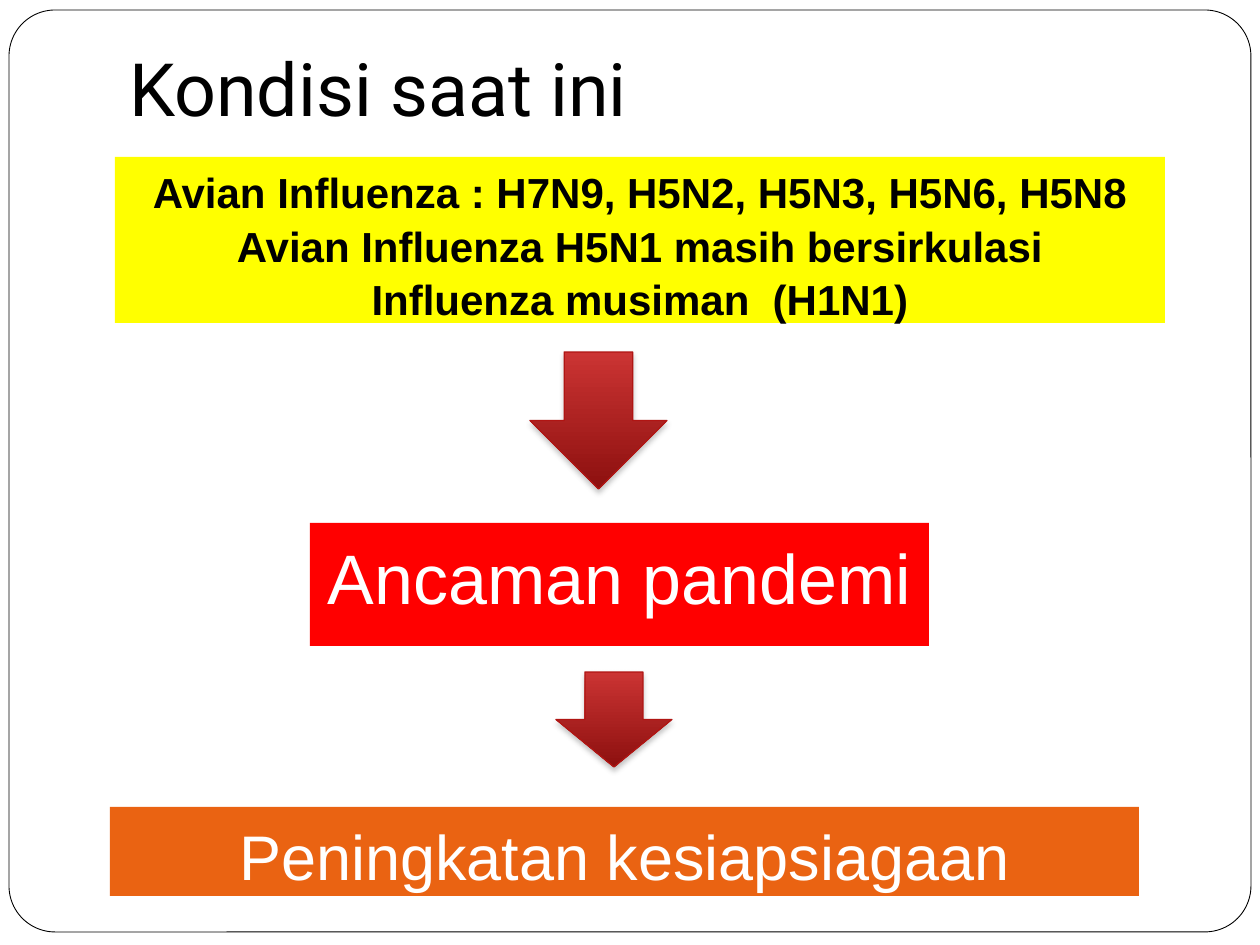
from pptx import Presentation
from pptx.dml.color import RGBColor
from pptx.enum.shapes import MSO_SHAPE
from pptx.enum.text import MSO_ANCHOR, PP_ALIGN
from pptx.oxml import parse_xml
from pptx.oxml.ns import nsdecls
from pptx.util import Pt

RECT, ROUND, ARROW = MSO_SHAPE.RECTANGLE, MSO_SHAPE.ROUNDED_RECTANGLE, MSO_SHAPE.DOWN_ARROW
TOP, LEFT, CENTER = MSO_ANCHOR.TOP, PP_ALIGN.LEFT, PP_ALIGN.CENTER
PX = 914400 // 126

THEME = {
    "black": "000000", "white": "FFFFFF", "yellow": "FFFF00",
    "red": "FF0000", "orange": "EA6312",
    "light": "CB3433", "dark": "8D100F", "edge": "B01513",
    "head": "Roboto", "body": "Arial",
    "title": 42, "list": 24, "threat": 40, "action": 36,
}
SHADOW = (
    f'<a:effectLst {nsdecls("a")}><a:outerShdw blurRad="38100" dist="25400" '
    'dir="5400000" rotWithShape="0"><a:srgbClr val="808080">'
    '<a:alpha val="45000"/></a:srgbClr></a:outerShdw></a:effectLst>'
)


def color(name):
    return RGBColor.from_string(THEME[name])


def write(shape, lines, size, font, ink, align, bold=False, top=6, space=1.0):
    frame = shape.text_frame
    frame.word_wrap = True
    frame.vertical_anchor = TOP
    frame.margin_top = top * PX
    frame.text = "\n".join(lines)
    for para in frame.paragraphs:
        para.alignment = align
        para.line_spacing = space
        para.font.name = THEME[font]
        para.font.size = Pt(THEME[size])
        para.font.bold = bold
        para.font.color.rgb = color(ink)


deck = Presentation()
deck.slide_width, deck.slide_height = 1260 * PX, 945 * PX
slide = deck.slides.add_slide(deck.slide_layouts[6])
shapes = slide.shapes

# Rounded page frame
frame = shapes.add_shape(ROUND, 9 * PX, 10 * PX, 1242 * PX, 922 * PX)
frame.adjustments[0] = 0.05
frame.shadow.inherit = False
frame.fill.background()
frame.line.color.rgb = color("black")
frame.line.width = Pt(0.5)

# Title
title = shapes.add_textbox(117 * PX, 31 * PX, 1071 * PX, 124 * PX)
write(title, ["Kondisi saat ini"], "title", "head", "black", LEFT, top=12)

# Arrows between the steps
for x, y, w, h in [(530, 352, 137, 137), (556, 672, 116, 95)]:
    arrow = shapes.add_shape(ARROW, x * PX, y * PX, w * PX, h * PX)
    arrow.fill.gradient()
    arrow.fill.gradient_angle = 270
    for stop, name in zip(arrow.fill.gradient_stops, ("light", "dark")):
        stop.color.rgb = color(name)
    for stop, place in zip(arrow.fill.gradient_stops, (0, 1)):
        stop.position = place
    arrow.line.color.rgb = color("edge")
    arrow.line.width = Pt(0.75)
    arrow._element.spPr.append(parse_xml(SHADOW))

# Steps: box, fill, text size, ink, bold, top inset, lines
STEPS = [
    ((115, 157, 1050, 166), "yellow", "list", "black", True, 7,
     ["Avian Influenza : H7N9, H5N2, H5N3, H5N6, H5N8",
      "Avian Influenza H5N1 masih bersirkulasi",
      "Influenza musiman  (H1N1)"]),
    ((310, 523, 619, 123), "red", "threat", "white", False, 7, ["Ancaman pandemi"]),
    ((110, 807, 1029, 89), "orange", "action", "white", False, 6,
     ["Peningkatan kesiapsiagaan"]),
]
for (x, y, w, h), fill, size, ink, bold, top, lines in STEPS:
    box = shapes.add_shape(RECT, x * PX, y * PX, w * PX, h * PX)
    box.shadow.inherit = False
    box.fill.solid()
    box.fill.fore_color.rgb = color(fill)
    box.line.fill.background()
    write(box, lines, size, "body", ink, CENTER, bold, top, 1.06)

deck.save("out.pptx")
